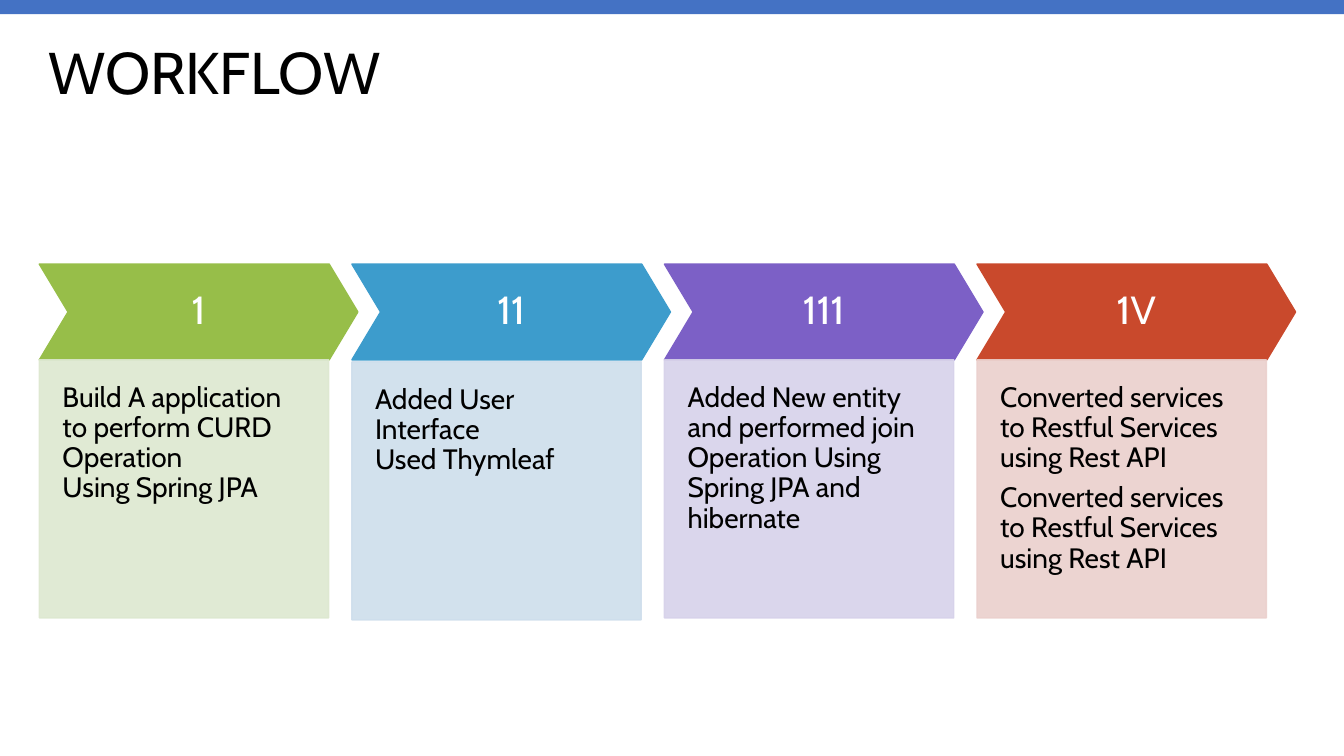
"""Build a slide that shows a workflow of four numbered stages."""
from dataclasses import dataclass

import pptx
import pptx.dml.color
import pptx.enum.shapes
import pptx.enum.text
import pptx.oxml.ns
import pptx.oxml.xmlchemy
import pptx.util

Inches = pptx.util.Inches
Pt = pptx.util.Pt
Shape = pptx.enum.shapes.MSO_SHAPE
Align = pptx.enum.text.PP_ALIGN
Anchor = pptx.enum.text.MSO_ANCHOR


@dataclass(frozen=True)
class Theme:
    font: str = "Cabin"
    dark: str = "000000"
    light: str = "FFFFFF"
    bar: str = "4472C4"
    title: int = 42
    head: int = 28
    body: int = 20
    lead: float = 0.9
    gap: int = 7
    alpha: int = 90


@dataclass(frozen=True)
class Grid:
    wide: float = 13.33
    high: float = 7.5
    left: float = 0.39
    step: float = 3.1
    top: float = 2.62
    head: float = 0.95
    body: float = 2.56
    arrow: float = 3.16
    card: float = 2.87

    def col(self, index: int) -> float:
        return self.left + index * self.step


@dataclass(frozen=True)
class Box:
    left: float
    top: float
    wide: float
    high: float


@dataclass(frozen=True)
class Stage:
    label: str
    paras: tuple[tuple[str, ...], ...]
    fill: str
    tint: str
    drop: float = 0.0


THEME = Theme()
GRID = Grid()
REST = ("Converted services to Restful Services", "using Rest API")
STAGES = (
    Stage("1", (("Build A application to perform CURD Operation", "Using Spring JPA"),),
          "97BE49", "DDE8D0"),
    Stage("11", (("Added User Interface", "Used Thymleaf"),),
          "3D9CCC", "CEDEEC", 0.02),
    Stage("111", (("Added New entity", "and performed join",
                   "Operation Using Spring JPA and hibernate"),),
          "7C60C6", "D7D2EA"),
    Stage("1V", (REST, REST), "C9492C", "EBD0CD"),
)


def tone(code: str) -> pptx.dml.color.RGBColor:
    return pptx.dml.color.RGBColor.from_string(code)


def place(shape, box: Box) -> None:
    shape.left, shape.top = Inches(box.left), Inches(box.top)
    shape.width, shape.height = Inches(box.wide), Inches(box.high)


def draw(slide, kind, box: Box, fill: str, line: bool = True):
    shape = slide.shapes.add_shape(kind, 0, 0, 0, 0)
    place(shape, box)
    shape.shadow.inherit = False
    shape.fill.solid()
    shape.fill.fore_color.rgb = tone(fill)
    if line:
        shape.line.color.rgb = tone(fill)
        shape.line.width = Pt(1)
    else:
        shape.line.fill.background()
    return shape


def fade(shape, share: int) -> None:
    for node in shape._element.spPr.iter(pptx.oxml.ns.qn("a:srgbClr")):
        alpha = pptx.oxml.xmlchemy.OxmlElement("a:alpha")
        alpha.set("val", str(share * 1000))
        node.append(alpha)


def write(shape, paras: tuple[tuple[str, ...], ...], size: int, shade: str,
          align: Align, anchor: Anchor, pads: tuple[float, ...], gap: int = 0) -> None:
    frame = shape.text_frame
    frame.word_wrap = True
    frame.auto_size = pptx.enum.text.MSO_AUTO_SIZE.NONE
    frame.vertical_anchor = anchor
    frame.margin_left, frame.margin_top, frame.margin_right, frame.margin_bottom = map(
        Inches, pads)
    for index, lines in enumerate(paras):
        para = frame.add_paragraph() if index else frame.paragraphs[0]
        para.alignment = align
        para.line_spacing = THEME.lead
        para.space_before = Pt(0)
        para.space_after = Pt(gap)
        for count, text in enumerate(lines):
            if count:
                para.add_line_break()
            run = para.add_run()
            run.text = text
            run.font.name = THEME.font
            run.font.size = Pt(size)
            run.font.color.rgb = tone(shade)


def add_stage(slide, index: int, stage: Stage) -> None:
    left = GRID.col(index)
    arrow = draw(slide, Shape.CHEVRON, Box(left, GRID.top, GRID.arrow, GRID.head), stage.fill)
    arrow.adjustments[0] = 0.3
    write(arrow, ((stage.label,),), THEME.head, THEME.light,
          Align.CENTER, Anchor.MIDDLE, (0.12,) * 4)
    top = GRID.top + GRID.head + stage.drop
    card = draw(slide, Shape.RECTANGLE, Box(left, top, GRID.card, GRID.body), stage.tint)
    fade(card, THEME.alpha)
    write(card, stage.paras, THEME.body, THEME.dark,
          Align.LEFT, Anchor.TOP, (0.23, 0.23, 0.23, 0.45), THEME.gap)


def main() -> None:
    deck = pptx.Presentation()
    deck.slide_width, deck.slide_height = Inches(GRID.wide), Inches(GRID.high)
    slide = deck.slides.add_slide(deck.slide_layouts[5])
    title = slide.shapes.title
    place(title, Box(0.38, 0.33, 12.48, 1.45))
    write(title, (("WORKFLOW",),), THEME.title, THEME.dark,
          Align.LEFT, Anchor.TOP, (0.1, 0.1, 0.1, 0.05))
    draw(slide, Shape.RECTANGLE, Box(0, 0, GRID.wide, 0.14), THEME.bar, line=False)
    for index, stage in enumerate(STAGES):
        add_stage(slide, index, stage)
    deck.save("out.pptx")


if __name__ == "__main__":
    main()
